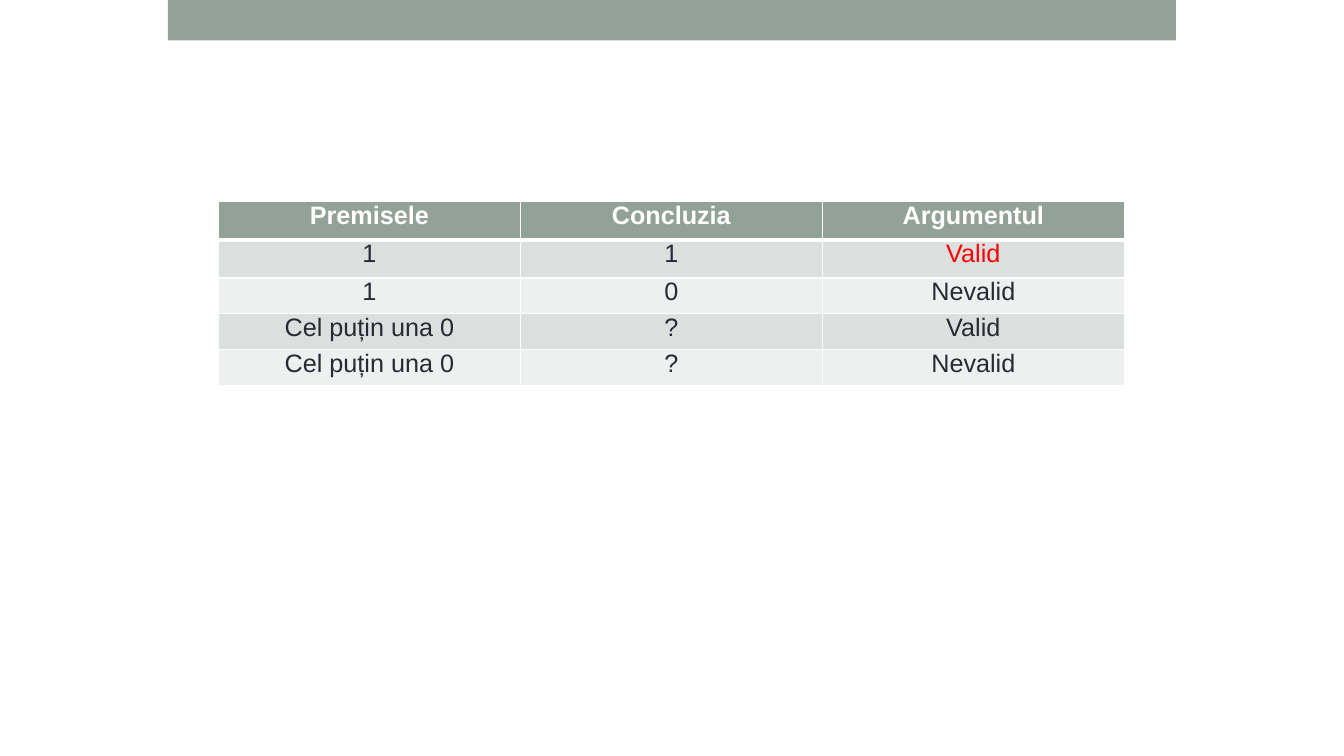
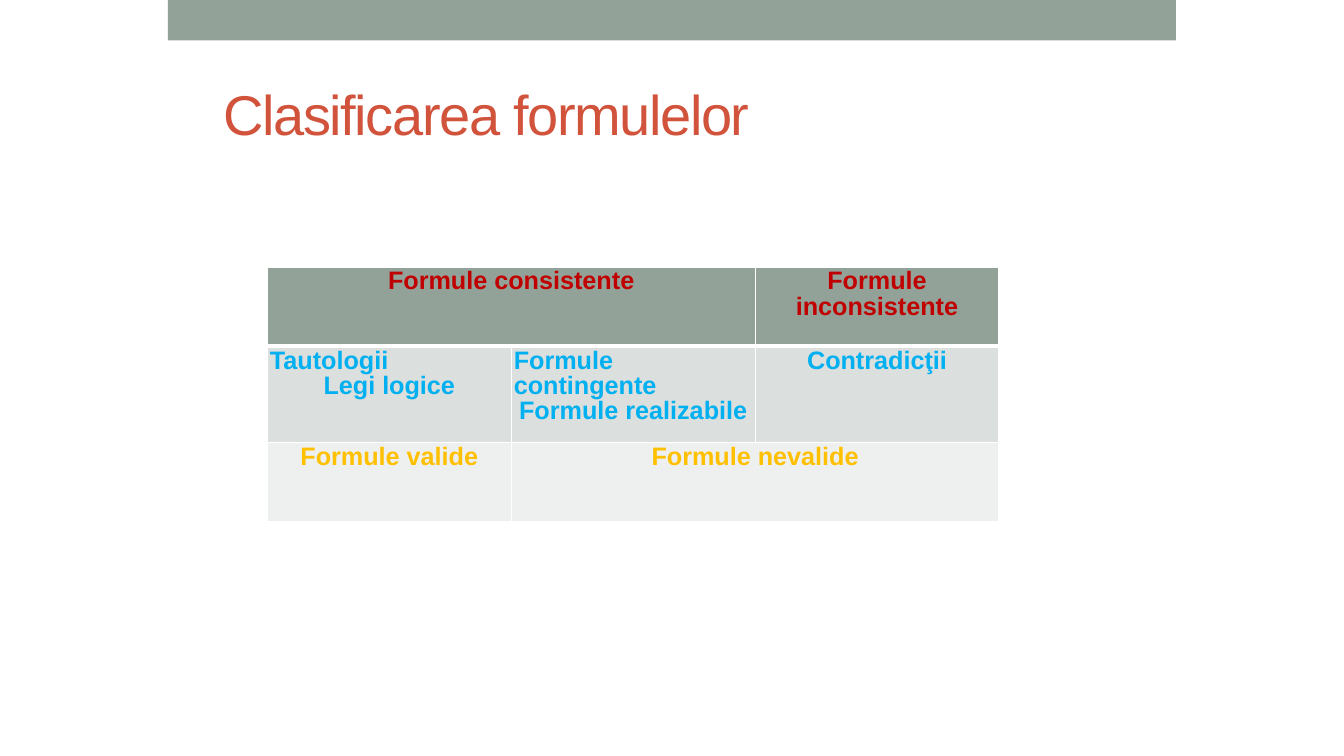
from lxml import etree
from pptx import Presentation
from pptx.dml.color import RGBColor
from pptx.enum.shapes import MSO_SHAPE
from pptx.enum.text import MSO_ANCHOR, PP_ALIGN
from pptx.oxml.ns import qn
from pptx.util import Pt

RECTANGLE = MSO_SHAPE.RECTANGLE
MIDDLE = MSO_ANCHOR.MIDDLE
LEFT, CENTER = PP_ALIGN.LEFT, PP_ALIGN.CENTER

FONT = "Arial"
COLORS = {
    "sage": "93A299",
    "band_dark": "DBDFDD",
    "band_light": "EEF0EF",
    "white": "FFFFFF",
    "ink": "292934",
    "title": "D2533C",
    "red": "FF0000",
    "dark_red": "C00000",
    "blue": "00B0F0",
    "gold": "FFC000",
}
THIN, THICK = 2, 6
CELL_INSET = 3.6
TITLE_INSET = 7.2

ARGUMENTS = [
    ["Premisele", "Concluzia", "Argumentul"],
    ["1", "1", "Valid"],
    ["1", "0", "Nevalid"],
    ["Cel puțin una 0", "?", "Valid"],
    ["Cel puțin una 0", "?", "Nevalid"],
]
FORMULAS = [
    ["Formule consistente", "", "Formule inconsistente"],
    ["Tautologii\nLegi logice", "Formule contingente\nFormule realizabile", "Contradicţii"],
    ["Formule valide", "Formule nevalide", ""],
]


def color(name):
    """Return the palette colour of this name."""
    return RGBColor.from_string(COLORS[name])


def style_paragraph(paragraph, size, ink, bold=False):
    """Format every run of a paragraph."""
    for run in paragraph.runs:
        run.font.name = FONT
        run.font.size = Pt(size)
        run.font.bold = bold
        run.font.color.rgb = color(ink)


def add_band(page, left, top, width, height):
    """Draw the coloured band at the top of a page."""
    band = page.shapes.add_shape(RECTANGLE, Pt(left), Pt(top), Pt(width), Pt(height))
    band.shadow.inherit = False
    band.fill.solid()
    band.fill.fore_color.rgb = color("sage")
    band.line.fill.background()


def add_title(page, text, left, top, width, height):
    """Write the page title, vertically centred in its box."""
    box = page.shapes.add_textbox(Pt(left), Pt(top), Pt(width), Pt(height))
    frame = box.text_frame
    frame.word_wrap = True
    frame.vertical_anchor = MIDDLE
    frame.margin_left = frame.margin_right = Pt(TITLE_INSET)
    frame.margin_top = frame.margin_bottom = Pt(TITLE_INSET)
    frame.text = text
    paragraph = frame.paragraphs[0]
    style_paragraph(paragraph, 80, "title")
    paragraph.runs[0].font._element.set("spc", "-200")


def set_borders(cell, top, bottom):
    """Give a cell white borders, with its own top and bottom widths."""
    properties = cell._tc.get_or_add_tcPr()
    for side, width in (("L", THIN), ("R", THIN), ("T", top), ("B", bottom)):
        line = etree.SubElement(properties, qn(f"a:ln{side}"), w=str(Pt(width)))
        fill = etree.SubElement(line, qn("a:solidFill"))
        etree.SubElement(fill, qn("a:srgbClr"), val=COLORS["white"])


def fill_cell(cell, text, ink, bold):
    """Write a cell; of two lines, the first is left-aligned."""
    cell.margin_left = cell.margin_right = Pt(CELL_INSET)
    cell.margin_top = cell.margin_bottom = Pt(CELL_INSET)
    cell.text_frame.text = text
    paragraphs = cell.text_frame.paragraphs
    for paragraph in paragraphs:
        paragraph.alignment = CENTER
        paragraph.line_spacing = 0.9
        style_paragraph(paragraph, 36, ink, bold)
    if len(paragraphs) > 1:
        paragraphs[0].alignment = LEFT


def add_grid(page, rows, left, top, column_width, heights, row_inks, bold_rows):
    """Build a table with a header and banded rows, and return it."""
    count = len(rows[0])
    table = page.shapes.add_table(
        len(rows), count, Pt(left), Pt(top), Pt(column_width * count), Pt(sum(heights))
    ).table
    for column in table.columns:
        column.width = Pt(column_width)
    for index, texts in enumerate(rows):
        table.rows[index].height = Pt(heights[index])
        band = "sage" if index == 0 else ("band_light", "band_dark")[index % 2]
        for position, text in enumerate(texts):
            cell = table.cell(index, position)
            fill_cell(cell, text, row_inks[index], index in bold_rows)
            set_borders(cell, THICK if index == 1 else THIN, THICK if index == 0 else THIN)
            cell.fill.solid()
            cell.fill.fore_color.rgb = color(band)
    return table


def add_page(deck):
    """Add a blank page with the shared band."""
    page = deck.slides.add_slide(deck.slide_layouts[6])
    add_band(page, 240, 0, 1440, 57.6)
    return page


def add_arguments_page(deck):
    """Build the page on the validity of arguments."""
    page = add_page(deck)
    heights = [54.6] * 2 + [51.2] * 3
    inks = ["white"] + ["ink"] * 4
    table = add_grid(page, ARGUMENTS, 312, 288, 431.4, heights, inks, {0})
    style_paragraph(table.cell(1, 2).text_frame.paragraphs[0], 36, "red")


def add_formulas_page(deck):
    """Build the page on the classes of formulas."""
    page = add_page(deck)
    add_title(page, "Clasificarea formulelor", 312, 84, 1296, 156)
    inks = ["dark_red", "blue", "gold"]
    table = add_grid(page, FORMULAS, 382, 381.6, 348.4, [113, 137.5, 113], inks, {0, 1, 2})
    table.cell(0, 0).merge(table.cell(0, 1))
    table.cell(2, 1).merge(table.cell(2, 2))


def main():
    """Build and save the deck."""
    deck = Presentation()
    deck.slide_width, deck.slide_height = Pt(1920), Pt(1080)
    add_arguments_page(deck)
    add_formulas_page(deck)
    deck.save("out.pptx")


main()
